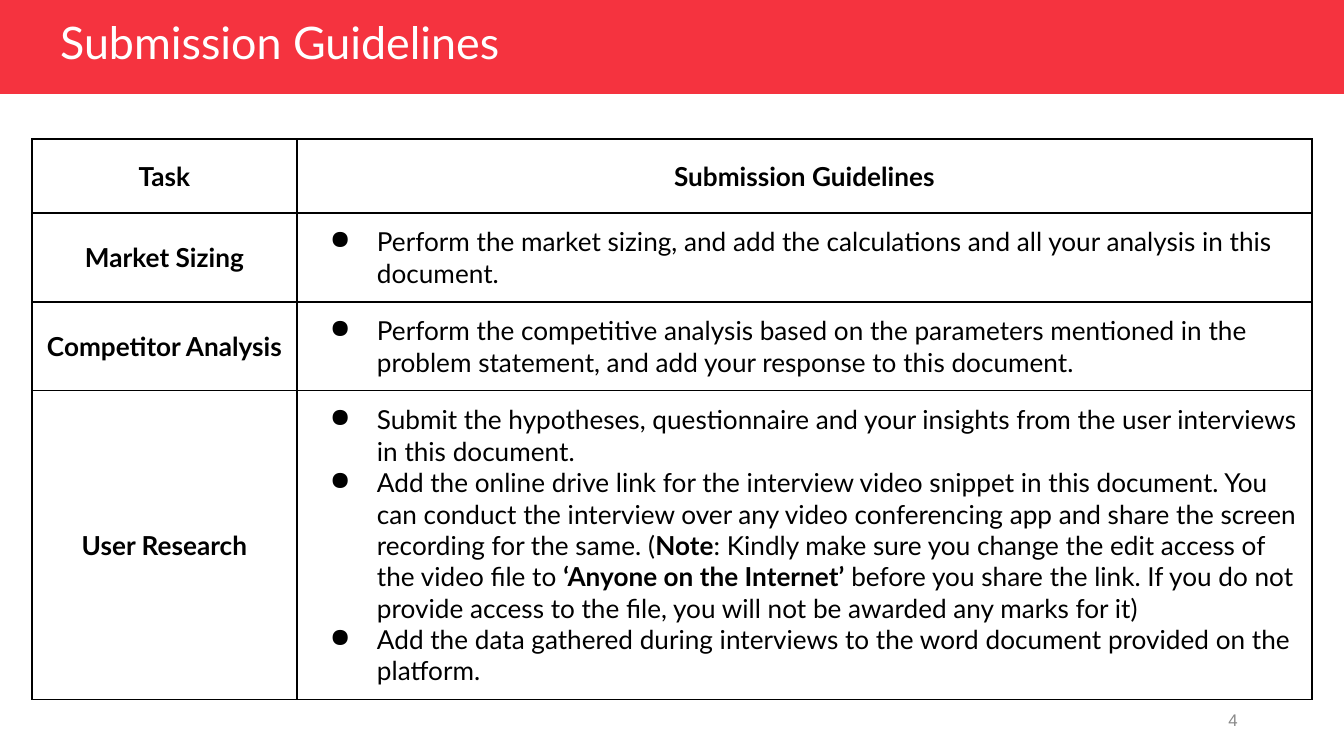
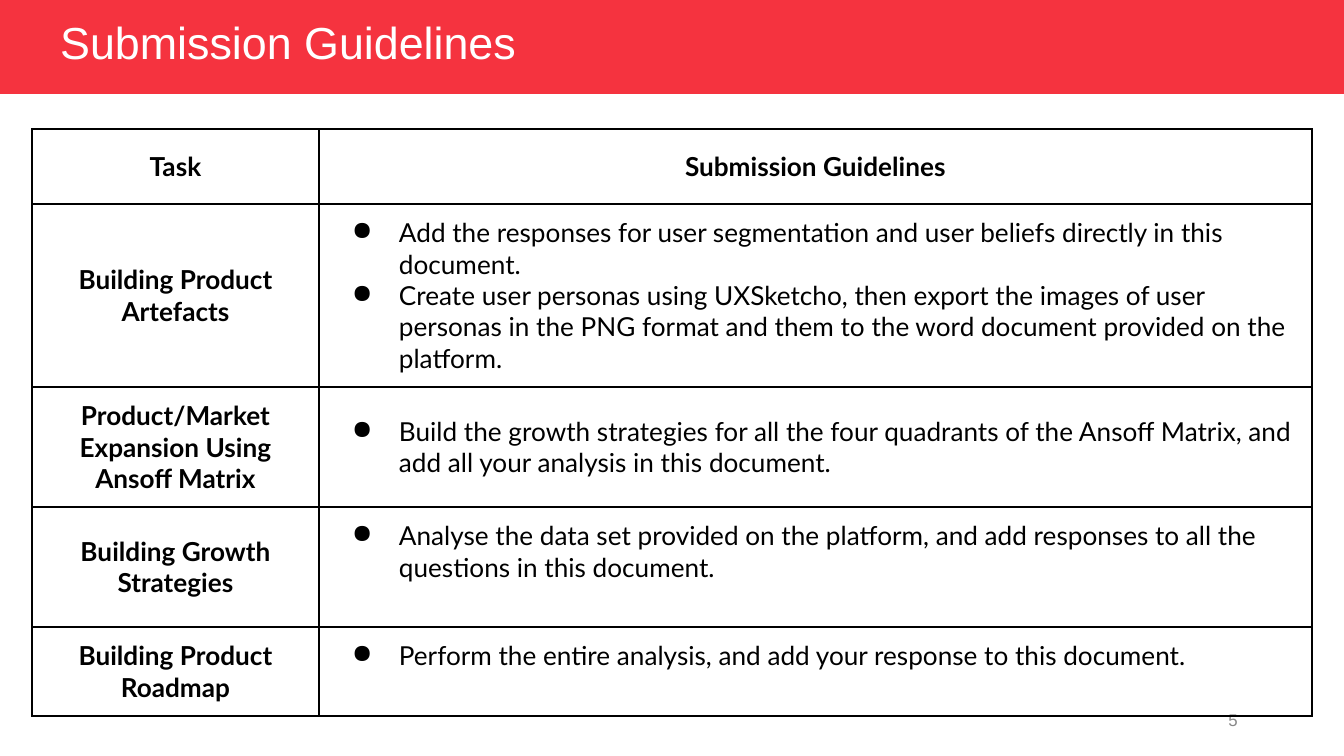
"""Build two slides of submission guidelines, each a red title band over a task table."""
from dataclasses import dataclass

from lxml import etree
from pptx import Presentation, util as u
from pptx.dml import color
from pptx.enum import shapes, text
from pptx.oxml import ns

PX = 914400 / 134.4


@dataclass(frozen=True)
class Theme:
    band: str = "F5333F"
    title: str = "FFFFFF"
    ink: str = "000000"
    page: str = "888888"
    body_font: str = "Lato"
    page_font: str = "Arial"
    title_size: int = 24
    body_size: int = 14
    page_size: int = 9
    border: float = 0.75


THEME = Theme()
SLIDE_WIDTH, SLIDE_HEIGHT = 1344, 756
TABLE_LEFT, TABLE_WIDTH = 32, 1280
CELL_MARGIN = 13
BULLET_INDENT, BULLET_HANG = 67, 47
MIDDLE, TOP = text.MSO_ANCHOR.MIDDLE, text.MSO_ANCHOR.TOP

HEADINGS = ("Task", "Submission Guidelines")
SLIDES = [
    {
        "number": 4, "title_font": "Lato", "top": 139, "task_width": 265, "header_height": 74,
        "rows": [
            (89, MIDDLE, "Market Sizing", [
                "Perform the market sizing, and add the calculations and all your analysis in this "
                "document."]),
            (89, MIDDLE, "Competitor Analysis", [
                "Perform the competitive analysis based on the parameters mentioned in the problem "
                "statement, and add your response to this document."]),
            (309, MIDDLE, "User Research", [
                "Submit the hypotheses, questionnaire and your insights from the user interviews "
                "in this document.",
                "Add the online drive link for the interview video snippet in this document. You "
                "can conduct the interview over any video conferencing app and share the screen "
                "recording for the same. (**Note**: Kindly make sure you change the edit access of "
                "the video file to **‘Anyone on the Internet’** before you share the link. If you "
                "do not provide access to the file, you will not be awarded any marks for it)",
                "Add the data gathered during interviews to the word document provided on the "
                "platform."]),
        ],
    },
    {
        "number": 5, "title_font": "Arial", "top": 129, "task_width": 287, "header_height": 75,
        "rows": [
            (183, MIDDLE, "Building Product Artefacts", [
                "Add the responses for user segmentation and user beliefs directly in this "
                "document.",
                "Create user personas using UXSketcho, then export the images of user personas in "
                "the PNG format and them to the word document provided on the platform."]),
            (120, MIDDLE, "Product/Market Expansion Using Ansoff Matrix", [
                "Build the growth strategies for all the four quadrants of the Ansoff Matrix, and "
                "add all your analysis in this document."]),
            (120, TOP, "Building Growth Strategies", [
                "Analyse the data set provided on the platform, and add responses to all the "
                "questions in this document."]),
            (89, TOP, "Building Product Roadmap", [
                "Perform the entire analysis, and add your response to this document."]),
        ],
    },
]


def px(length):
    return u.Emu(round(length * PX))


def set_format(target, values):
    for name, value in values.items():
        setattr(target, name, value)


def add_run(paragraph, words, font_values, ink):
    run = paragraph.add_run()
    run.text = words
    set_format(run.font, font_values)
    run.font.color.rgb = color.RGBColor.from_string(ink)


def add_marked_text(paragraph, words, bold=False):
    """Write body text, switching weight at each pair of asterisks."""
    for index, part in enumerate(words.split("**")):
        values = {"name": THEME.body_font, "size": u.Pt(THEME.body_size),
                  "bold": bold or index % 2 == 1}
        add_run(paragraph, part, values, THEME.ink)


def add_color(parent, value):
    etree.SubElement(parent, ns.qn("a:srgbClr"), val=value)


def set_bullet(paragraph):
    properties = paragraph._p.get_or_add_pPr()
    properties.set("marL", str(px(BULLET_INDENT)))
    properties.set("indent", str(-px(BULLET_HANG)))
    add_color(etree.SubElement(properties, ns.qn("a:buClr")), THEME.ink)
    etree.SubElement(properties, ns.qn("a:buChar"), char="●")


def set_borders(cell):
    properties = cell._tc.get_or_add_tcPr()
    for side in ("lnL", "lnR", "lnT", "lnB"):
        line = etree.SubElement(properties, ns.qn(f"a:{side}"), w=str(u.Pt(THEME.border)))
        add_color(etree.SubElement(line, ns.qn("a:solidFill")), THEME.ink)


def fill_cell(cell, lines, anchor=MIDDLE, bulleted=False):
    set_borders(cell)
    cell.fill.background()
    margins = {f"margin_{side}": px(CELL_MARGIN) for side in ("left", "right", "top", "bottom")}
    set_format(cell, {"vertical_anchor": anchor, **margins})
    frame = cell.text_frame
    for index, line in enumerate(lines):
        paragraph = frame.add_paragraph() if index else frame.paragraphs[0]
        paragraph.alignment = text.PP_ALIGN.LEFT if bulleted else text.PP_ALIGN.CENTER
        if bulleted:
            set_bullet(paragraph)
        add_marked_text(paragraph, line, bold=not bulleted)


def add_band(slide):
    shape = slide.shapes.add_shape(shapes.MSO_SHAPE.RECTANGLE, 0, 0, px(SLIDE_WIDTH), px(94))
    shape.shadow.inherit = False
    shape.fill.solid()
    shape.fill.fore_color.rgb = color.RGBColor.from_string(THEME.band)
    shape.line.fill.background()


def add_label(slide, box, words, font_values, ink, paragraph_values):
    frame = slide.shapes.add_textbox(*map(px, box)).text_frame
    set_format(frame, {"word_wrap": True, "vertical_anchor": MIDDLE})
    paragraph = frame.paragraphs[0]
    set_format(paragraph, paragraph_values)
    add_run(paragraph, words, font_values, ink)


def add_guideline_table(slide, content):
    heights = [content["header_height"], *(row[0] for row in content["rows"])]
    table = slide.shapes.add_table(
        len(heights), len(HEADINGS), px(TABLE_LEFT), px(content["top"]),
        px(TABLE_WIDTH), px(sum(heights))).table
    set_format(table, {"first_row": False, "horz_banding": False})
    widths = (content["task_width"], TABLE_WIDTH - content["task_width"])
    for column, width in zip(table.columns, widths):
        column.width = px(width)
    for row, height in zip(table.rows, heights):
        row.height = px(height)
    for index, heading in enumerate(HEADINGS):
        fill_cell(table.cell(0, index), [heading])
    for index, (_, anchor, task, guidelines) in enumerate(content["rows"], 1):
        fill_cell(table.cell(index, 0), [task])
        fill_cell(table.cell(index, 1), guidelines, anchor, bulleted=True)


def add_guideline_slide(presentation, content):
    slide = presentation.slides.add_slide(presentation.slide_layouts[6])
    add_band(slide)
    add_label(slide, (949, 700, 302, 40), str(content["number"]),
              {"name": THEME.page_font, "size": u.Pt(THEME.page_size)}, THEME.page,
              {"alignment": text.PP_ALIGN.RIGHT})
    add_label(slide, (47, 17, 597, 56), "Submission Guidelines",
              {"name": content["title_font"], "size": u.Pt(THEME.title_size)}, THEME.title,
              {"line_spacing": 0.9})
    add_guideline_table(slide, content)


def main():
    presentation = Presentation()
    set_format(presentation, {"slide_width": px(SLIDE_WIDTH), "slide_height": px(SLIDE_HEIGHT)})
    for content in SLIDES:
        add_guideline_slide(presentation, content)
    presentation.save("out.pptx")


if __name__ == "__main__":
    main()
